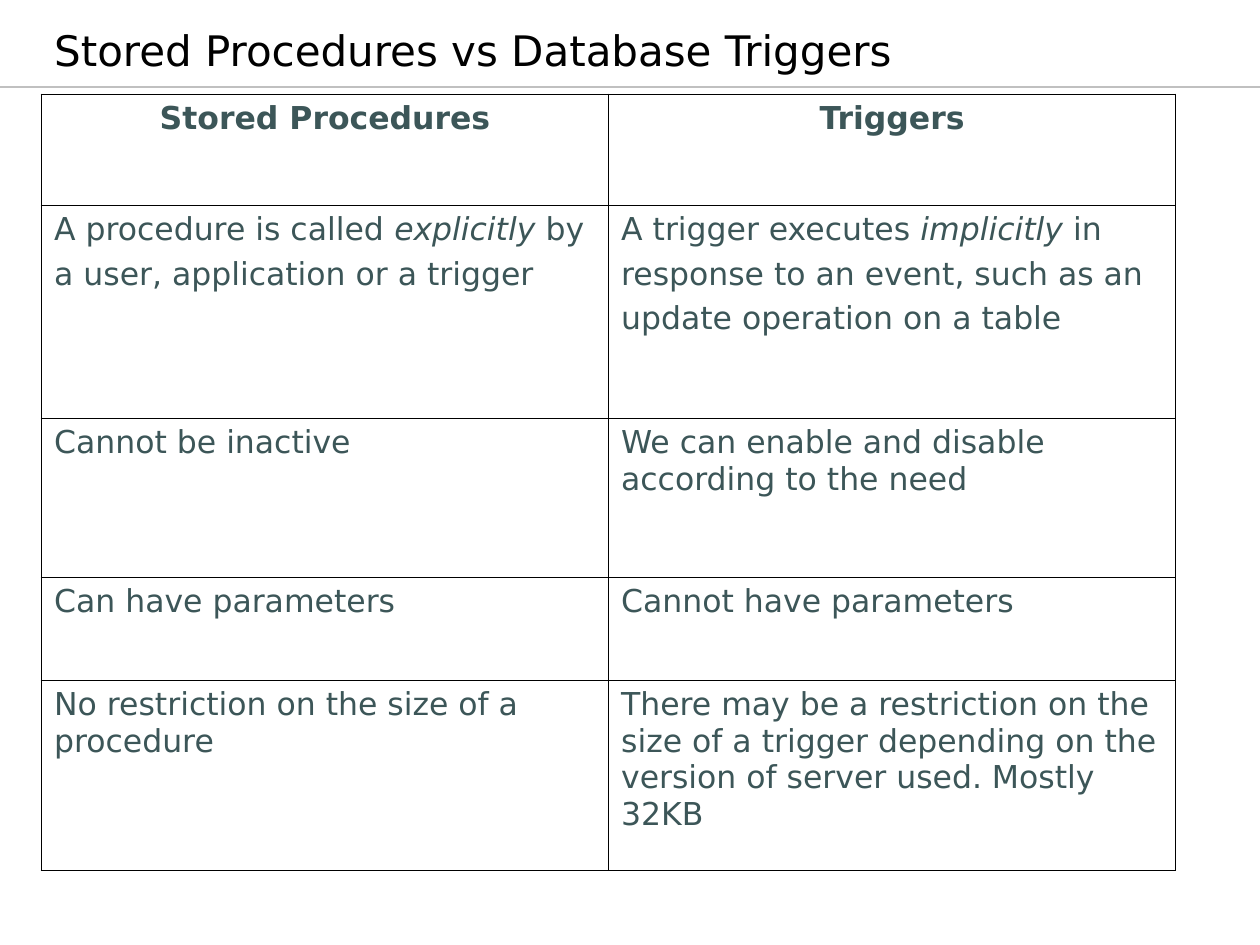
"""Build a slide that compares stored procedures with database triggers."""
import pptx
import pptx.dml.color
import pptx.enum.text
import pptx.oxml
import pptx.oxml.ns
import pptx.util
from lxml import etree

WIDE, HIGH = pptx.util.Inches(10), pptx.util.Inches(7.5)
COL = pptx.util.Inches(4.5)
ROWS = [0.88, 1.69, 1.26, 0.82, 1.51]
LEFT, TOP = pptx.util.Inches(0.33), pptx.util.Inches(0.75)
FONT = "DejaVu Sans"
CELLS = [
    [["Stored Procedures"], ["Triggers"]],
    [["A procedure is called *explicitly *by", "a user, application or a trigger"],
     ["A trigger executes *implicitly *in", "response to an event, such as an",
      "update operation on a table"]],
    [["Cannot be inactive"], ["We can enable and disable according to the need"]],
    [["Can have parameters"], ["Cannot have parameters"]],
    [["No restriction on the size of a procedure"],
     ["There may be a restriction on the size of a trigger depending on the "
      "version of server used. Mostly 32KB"]],
]


def paint(hue):
    return pptx.dml.color.RGBColor.from_string(hue)


def write(par, text, size, hue, bold=False):
    for n, part in enumerate(text.split("*")):
        run = par.add_run()
        run.text = part
        run.font.name = FONT
        run.font.size = pptx.util.Pt(size)
        run.font.color.rgb = paint(hue)
        run.font.bold = bold
        run.font.italic = n % 2 == 1


deck = pptx.Presentation()
deck.slide_width, deck.slide_height = WIDE, HIGH
slide = deck.slides.add_slide(deck.slide_layouts[6])

rule_y = int(HIGH * 0.092)
rule = slide.shapes.add_connector(1, 0, rule_y, WIDE, rule_y)
rule.line.color.rgb = paint("C0C0C0")
rule.line.width = pptx.util.Pt(0.75)
etree.SubElement(rule.element.spPr, pptx.oxml.ns.qn("a:effectLst"))

box = slide.shapes.add_textbox(
    pptx.util.Inches(0.03), pptx.util.Inches(0.17),
    pptx.util.Inches(7.31), pptx.util.Inches(0.47))
title = box.text_frame
title.word_wrap = True
title.margin_left = pptx.util.Inches(0.4)
title.vertical_anchor = pptx.enum.text.MSO_ANCHOR.BOTTOM
write(title.paragraphs[0], "Stored Procedures vs Database Triggers", 24, "000000")

tall = pptx.util.Inches(sum(ROWS))
table = slide.shapes.add_table(len(ROWS), 2, LEFT, TOP, 2 * COL, tall).table
table.first_row = table.horz_banding = False
for col in table.columns:
    col.width = COL

for r, (row, high) in enumerate(zip(CELLS, ROWS)):
    table.rows[r].height = pptx.util.Inches(high)
    for c, lines in enumerate(row):
        cell = table.cell(r, c)
        props = cell._tc.get_or_add_tcPr()
        outer = {"L": c == 0, "R": c == 1, "T": r == 0, "B": r == len(ROWS) - 1}
        for side, edge in outer.items():
            width = pptx.util.Pt(1.08 if edge else 0.45)
            props.append(pptx.oxml.parse_xml(
                f'<a:ln{side} {pptx.oxml.ns.nsdecls("a")} w="{width}"><a:solidFill>'
                f'<a:srgbClr val="000000"/></a:solidFill></a:ln{side}>'))
        cell.fill.background()
        frame = cell.text_frame
        for n, line in enumerate(lines):
            par = frame.add_paragraph() if n else frame.paragraphs[0]
            par.space_before = pptx.util.Pt(4.5)
            if r == 0:
                par.alignment = pptx.enum.text.PP_ALIGN.CENTER
            write(par, line, 18, "3C5658", r == 0)

deck.save("out.pptx")
